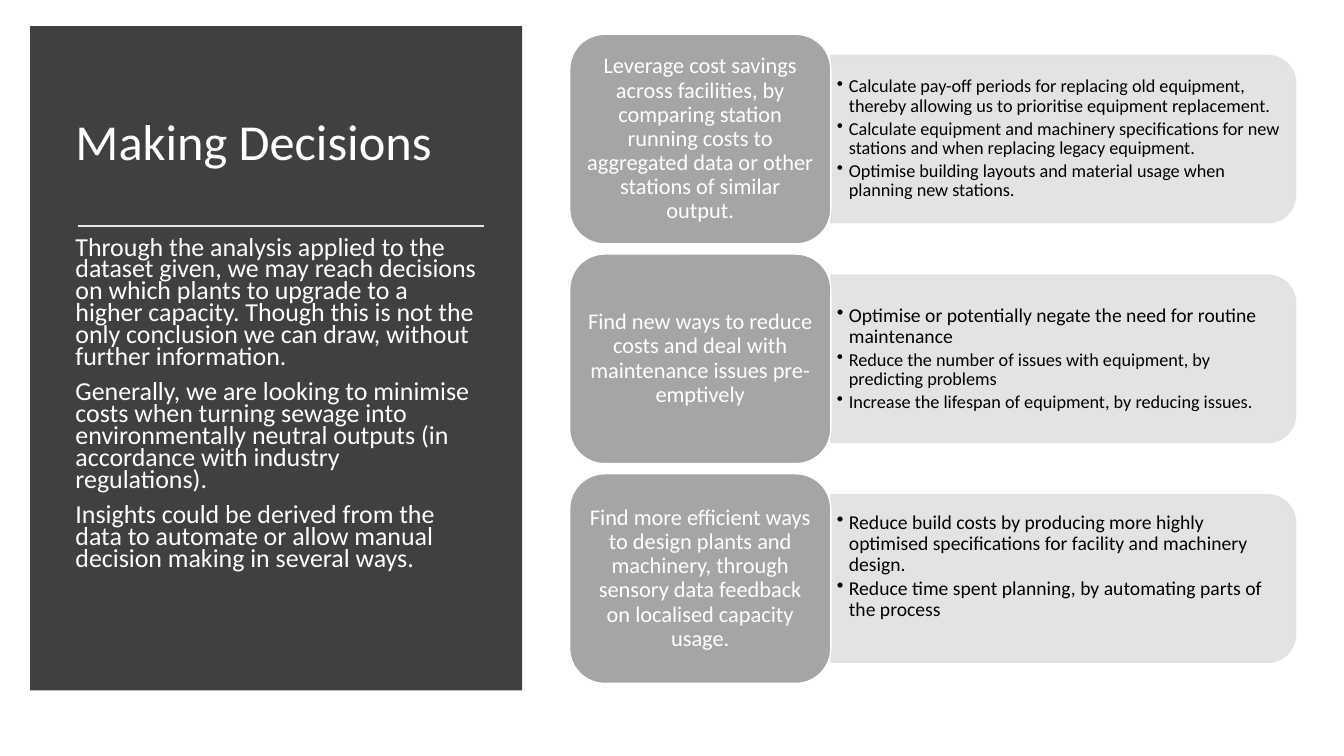
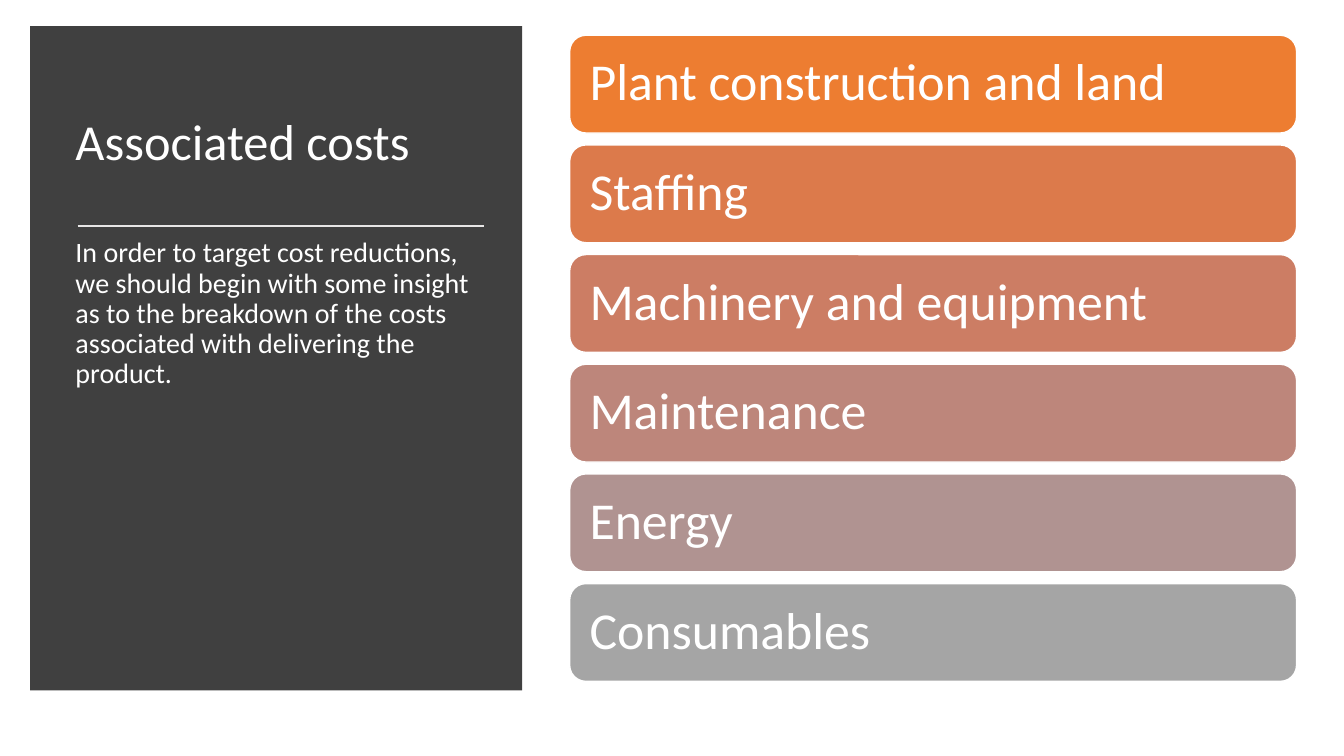
from lxml import etree
from pptx import Presentation
from pptx.dml.color import RGBColor
from pptx.enum.shapes import MSO_CONNECTOR, MSO_SHAPE
from pptx.enum.text import MSO_ANCHOR, PP_ALIGN
from pptx.oxml.ns import qn
from pptx.util import Inches, Pt

RECTANGLE = MSO_SHAPE.RECTANGLE
ROUNDED = MSO_SHAPE.ROUNDED_RECTANGLE
TWO_ROUNDED = MSO_SHAPE.ROUND_2_SAME_RECTANGLE
STRAIGHT = MSO_CONNECTOR.STRAIGHT
TOP, MIDDLE = MSO_ANCHOR.TOP, MSO_ANCHOR.MIDDLE
LEFT, CENTER = PP_ALIGN.LEFT, PP_ALIGN.CENTER

FONT = "Calibri"
COLORS = {"panel": "404040", "rule": "E7E6E6", "card": "A5A5A5",
          "detail": "E1E1E1", "light": "FFFFFF", "dark": "000000"}

DECISIONS = {
    "title": "Making Decisions",
    "body": [
        "Through the analysis applied to the dataset given, we may reach decisions on which plants "
        "to upgrade to a higher capacity. Though this is not the only conclusion we can draw, "
        "without further information.",
        "Generally, we are looking to minimise costs when turning sewage into environmentally "
        "neutral outputs (in accordance with industry regulations).",
        "Insights could be derived from the data to automate or allow manual decision making in "
        "several ways.",
    ],
    "body_size": 18.5,
    "body_spacing": 0.7,
}
# Card text, bullets with their sizes, extra bottom margin of the bullets
GOALS = [
    ("Leverage cost savings across facilities, by comparing station running costs to aggregated "
     "data or other stations of similar output.",
     [("Calculate pay-off periods for replacing old equipment, thereby allowing us to prioritise "
       "equipment replacement.", 13),
      ("Calculate equipment and machinery specifications for new stations and when replacing "
       "legacy equipment.", 13),
      ("Optimise building layouts and material usage when planning new stations.", 13)], 0),
    ("Find new ways to reduce costs and deal with maintenance issues pre-emptively",
     [("Optimise or potentially negate the need for routine maintenance", 14),
      ("Reduce the number of issues with equipment, by predicting problems", 13),
      ("Increase the lifespan of equipment, by reducing issues.", 13)], 0),
    ("Find more efficient ways to design plants and machinery, through sensory data feedback on "
     "localised capacity usage.",
     [("Reduce build costs by producing more highly optimised specifications for facility and "
       "machinery design.", 14),
      ("Reduce time spent planning, by automating parts of the process", 14)], 0.24),
]
COSTS = {
    "title": "Associated costs",
    "body": ["In order to target cost reductions, we should begin with some insight as to the "
             "breakdown of the costs associated with delivering the product."],
    "body_size": 20,
    "body_spacing": 0.9,
}
COST_BARS = [("Plant construction and land", "ED7D31"), ("Staffing", "DC7A4B"),
             ("Machinery and equipment", "CC7D64"), ("Maintenance", "BD867B"),
             ("Energy", "B09391"), ("Consumables", "A5A5A5")]

COLUMN_LEFT = 5.65
CARD_WIDTH, CARD_HEIGHT = 2.59, 2.08
DETAIL_WIDTH, DETAIL_HEIGHT = 4.61, 1.66
DETAIL_INSET = 0.08
BAR_WIDTH, BAR_HEIGHT = 7.21, 0.97


def color(name):
    return RGBColor.from_string(COLORS.get(name, name))


def distribute(top, bottom, height, count):
    """Tops of equally spaced boxes that fill the span."""
    pitch = (bottom - top - height) / (count - 1)
    return [top + index * pitch for index in range(count)]


def add_box(slide, kind, box, fill, outline=None):
    shape = slide.shapes.add_shape(kind, *map(Inches, box))
    shape.shadow.inherit = False
    shape.fill.solid()
    shape.fill.fore_color.rgb = color(fill)
    if outline:
        shape.line.color.rgb = color(outline)
        shape.line.width = Pt(1)
    else:
        shape.line.fill.background()
    return shape


def write(shape, items, ink, spacing, margins=(0.1, 0.05, 0.1, 0.05),
          anchor=MIDDLE, align=LEFT, before=0, after=0):
    """Fill a shape with paragraphs given as (text, size)."""
    frame = shape.text_frame
    frame.word_wrap = True
    frame.vertical_anchor = anchor
    (frame.margin_left, frame.margin_top,
     frame.margin_right, frame.margin_bottom) = map(Inches, margins)
    for index, (text, size) in enumerate(items):
        paragraph = frame.paragraphs[0] if index == 0 else frame.add_paragraph()
        paragraph.text = text
        paragraph.alignment = align
        paragraph.line_spacing = spacing
        paragraph.space_before, paragraph.space_after = Pt(before), Pt(after)
        paragraph.font.name = FONT
        paragraph.font.size = Pt(size)
        paragraph.font.color.rgb = color(ink)
    return frame


def add_text(slide, box, *args, **options):
    return write(slide.shapes.add_textbox(*map(Inches, box)), *args, **options)


def add_bullets(frame):
    for paragraph in frame.paragraphs:
        properties = paragraph._p.get_or_add_pPr()
        properties.set("marL", str(Inches(0.12)))
        properties.set("indent", str(-Inches(0.12)))
        etree.SubElement(properties, qn("a:buChar")).set("char", "•")


def set_opacity(shape, percent):
    for tint in shape._element.spPr.iter(qn("a:srgbClr")):
        etree.SubElement(tint, qn("a:alpha")).set("val", str(percent * 1000))


def add_panel_slide(presentation, content):
    """Slide with the dark panel that carries title, rule and body."""
    slide = presentation.slides.add_slide(presentation.slide_layouts[6])
    add_box(slide, RECTANGLE, (0.3, 0.26, 4.88, 6.59), "panel")
    add_text(slide, (0.65, 0.7, 4.18, 1.47), [(content["title"], 36)], "light", 0.9)
    rule = slide.shapes.add_connector(STRAIGHT, *map(Inches, (0.77, 2.24, 4.8, 2.24)))
    rule.line.color.rgb = color("rule")
    rule.line.width = Pt(1.75)
    etree.SubElement(rule._element.spPr, qn("a:effectLst"))
    add_text(slide, (0.65, 2.32, 4.18, 4.13),
             [(text, content["body_size"]) for text in content["body"]],
             "light", content["body_spacing"], anchor=TOP, before=10)
    return slide


def add_goal(slide, top, goal, bullets, extra_margin):
    left = COLUMN_LEFT + CARD_WIDTH
    middle = top + CARD_HEIGHT / 2
    # Turned a quarter, so width and height swap about the same centre
    detail = add_box(slide, TWO_ROUNDED,
                     (left + (DETAIL_WIDTH - DETAIL_HEIGHT) / 2, middle - DETAIL_WIDTH / 2,
                      DETAIL_HEIGHT, DETAIL_WIDTH), "detail", "detail")
    detail.rotation = 90
    set_opacity(detail, 90)
    text_height = DETAIL_HEIGHT - 2 * DETAIL_INSET
    frame = add_text(slide, (left, middle - text_height / 2,
                             DETAIL_WIDTH - DETAIL_INSET, text_height),
                     bullets, "dark", 0.9, (0.06, 0.03, 0.05, 0.03 + extra_margin), after=2)
    add_bullets(frame)
    card = add_box(slide, ROUNDED, (COLUMN_LEFT, top, CARD_WIDTH, CARD_HEIGHT), "card", "light")
    write(card, [(goal, 16)], "light", 0.9, (0.07, 0.03, 0.07, 0.03), align=CENTER)


def main():
    presentation = Presentation()
    presentation.slide_width, presentation.slide_height = Inches(13.33), Inches(7.5)

    slide = add_panel_slide(presentation, DECISIONS)
    for top, goal in zip(distribute(0.34, 6.78, CARD_HEIGHT, len(GOALS)), GOALS):
        add_goal(slide, top, *goal)

    slide = add_panel_slide(presentation, COSTS)
    tops = distribute(0.35, 6.76, BAR_HEIGHT, len(COST_BARS))
    for top, (label, fill) in zip(tops, COST_BARS):
        bar = add_box(slide, ROUNDED, (COLUMN_LEFT, top, BAR_WIDTH, BAR_HEIGHT), fill, "light")
        write(bar, [(label, 37)], "light", 0.9, (0.15,) * 4)

    presentation.save("out.pptx")


if __name__ == "__main__":
    main()
